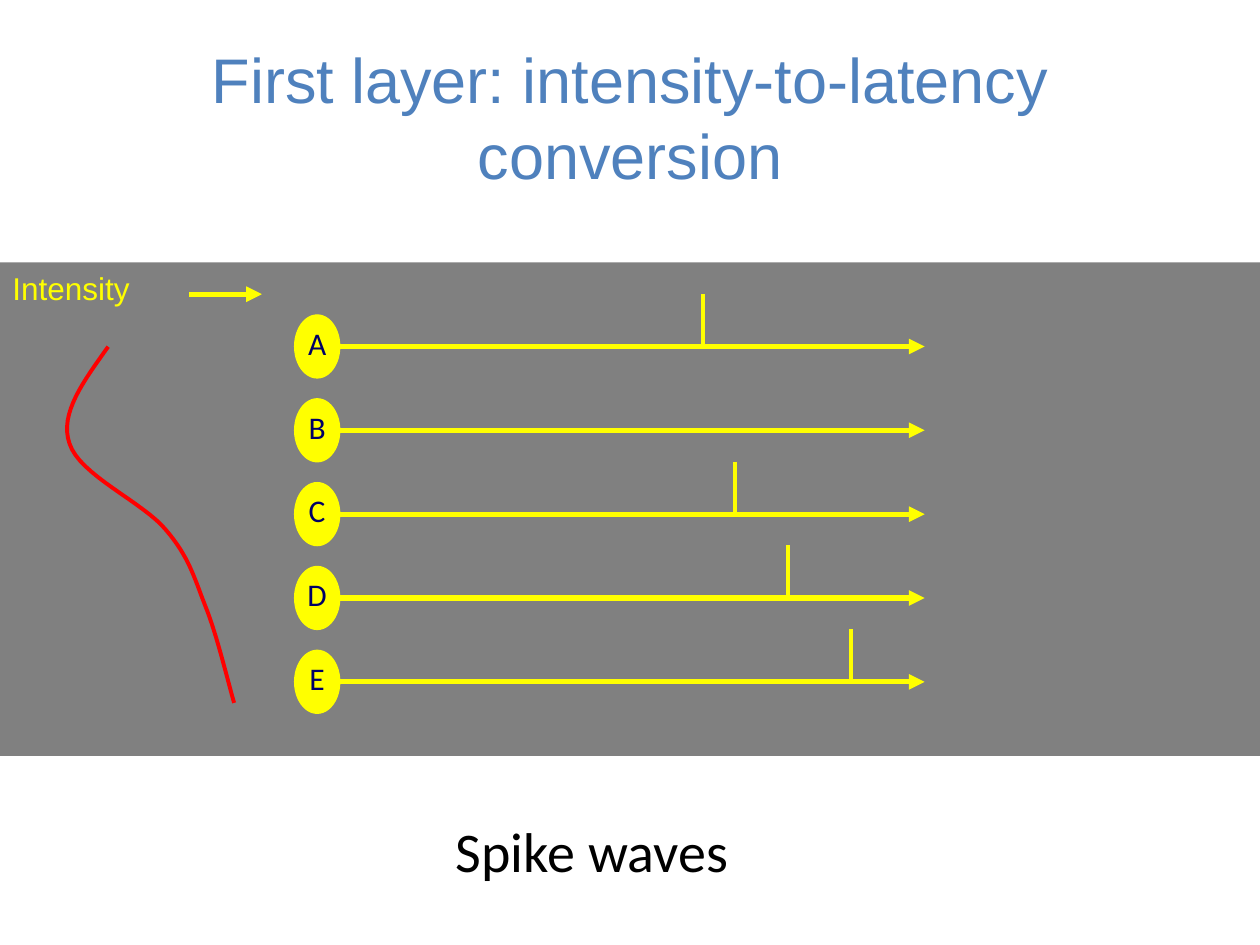
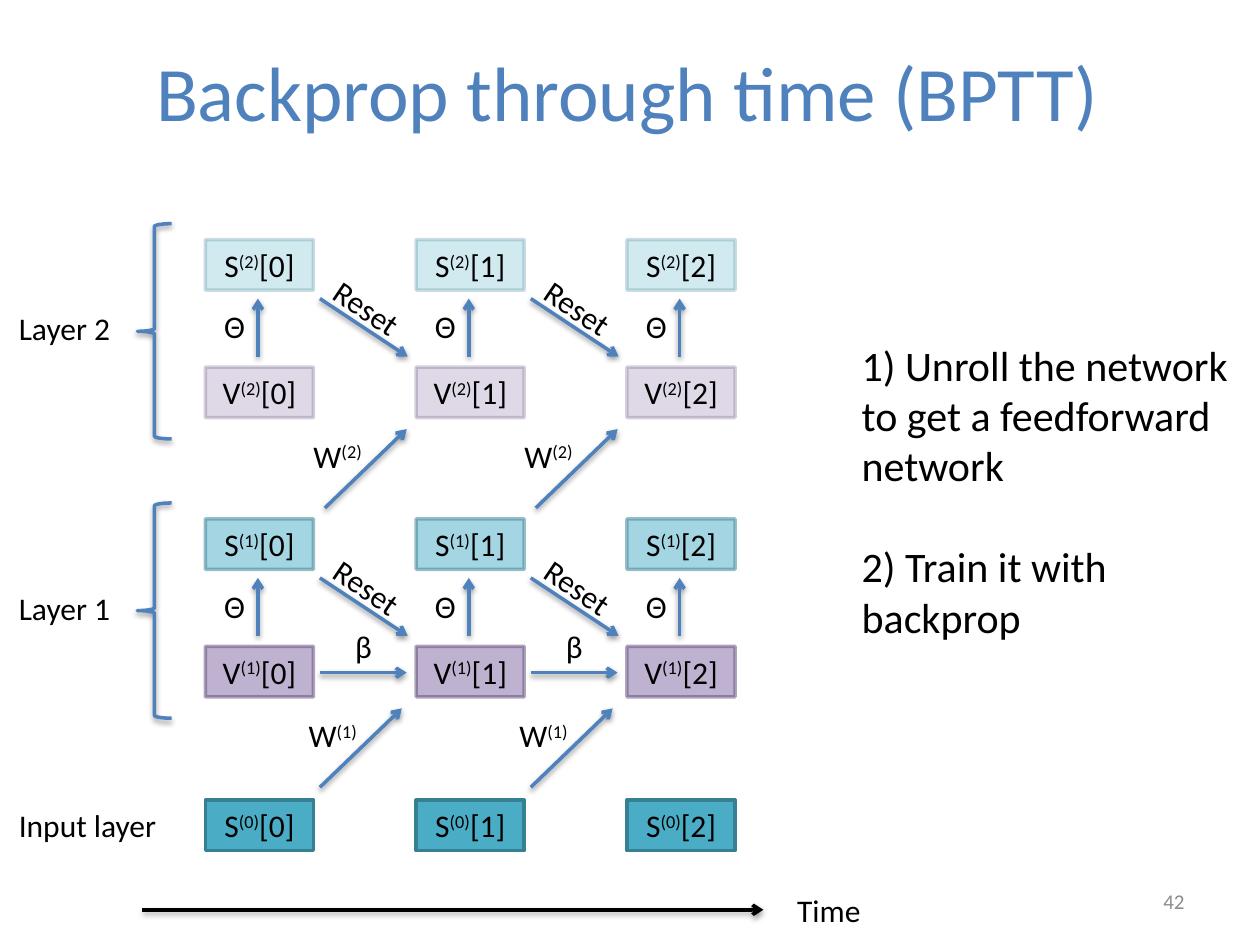
from pptx import Presentation
from pptx.dml.color import RGBColor
from pptx.enum.shapes import MSO_CONNECTOR, MSO_SHAPE
from pptx.enum.text import MSO_ANCHOR, MSO_AUTO_SIZE, PP_ALIGN
from pptx.oxml import parse_xml
from pptx.oxml.ns import nsdecls, qn
from pptx.util import Cm, Pt

STRAIGHT = MSO_CONNECTOR.STRAIGHT
RECT, OVAL, BRACE = MSO_SHAPE.RECTANGLE, MSO_SHAPE.OVAL, MSO_SHAPE.LEFT_BRACE
LEFT, CENTER, RIGHT = PP_ALIGN.LEFT, PP_ALIGN.CENTER, PP_ALIGN.RIGHT
MIDDLE = MSO_ANCHOR.MIDDLE
GROW = MSO_AUTO_SIZE.SHAPE_TO_FIT_TEXT

COLORS = {
    "blue": "4F81BD", "black": "000000", "band": "808080",
    "signal": "FFFF00", "letter": "000066", "curve": "FF0000",
    "teal": "4BACC6", "teal_edge": "377F92",
    "purple": "8064A2", "purple_edge": "5F4A78", "number": "8C8C8C",
}
TITLE_ONLY = 5
LABEL_HEIGHT = 1.02


# Shared helpers
def color(name):
    return RGBColor.from_string(COLORS[name])


def style_font(font, size, name="black", face="Calibri"):
    font.size, font.name = Pt(size), face
    font.color.rgb = color(name)


def write_parts(para, parts, size=18, name="black", face="Calibri"):
    """Write up to three runs; the second one is raised."""
    for index, part in enumerate(parts):
        span = para.add_run()
        span.text = part
        style_font(span.font, size, name, face)
        if index == 1:
            span._r.get_or_add_rPr().set("baseline", "30000")


def add_label(page, parts, box, size=18, name="black", face="Calibri",
              wrap=False, align=LEFT):
    label = page.shapes.add_textbox(*map(Cm, box))
    frame = label.text_frame
    frame.word_wrap = wrap
    frame.auto_size = GROW
    frame.paragraphs[0].alignment = align
    write_parts(frame.paragraphs[0], parts, size, name, face)
    return label


def add_shape(page, kind, box, fill=None, edge=None, width=2.0):
    shape = page.shapes.add_shape(kind, *map(Cm, box))
    shape.shadow.inherit = False
    if fill:
        shape.fill.solid()
        shape.fill.fore_color.rgb = color(fill)
    else:
        shape.fill.background()
    if edge:
        shape.line.color.rgb = color(edge)
        shape.line.width = Pt(width)
    else:
        shape.line.fill.background()
    return shape


def set_opacity(shape, percent):
    for tint in shape._element.spPr.iter(qn("a:srgbClr")):
        tint.append(parse_xml(f'<a:alpha {nsdecls("a")} val="{percent * 1000}"/>'))


def set_soft_shadow(shape):
    properties = shape._element.spPr
    for effects in properties.findall(qn("a:effectLst")):
        properties.remove(effects)
    properties.append(parse_xml(
        f'<a:effectLst {nsdecls("a")}><a:outerShdw blurRad="40000" dist="20000" '
        'dir="5400000" rotWithShape="0"><a:srgbClr val="000000">'
        '<a:alpha val="38000"/></a:srgbClr></a:outerShdw></a:effectLst>'))


def add_line(page, start, end, name, width, head=None, shadow=False):
    line = page.shapes.add_connector(STRAIGHT, *map(Cm, (*start, *end)))
    line.line.color.rgb = color(name)
    line.line.width = Pt(width)
    if head:
        line.line._get_or_add_ln().append(
            parse_xml(f'<a:tailEnd {nsdecls("a")} type="{head}"/>'))
    if shadow:
        set_soft_shadow(line)
    else:
        line._element.spPr.append(parse_xml(f'<a:effectLst {nsdecls("a")}/>'))


def add_page(deck, title, box, size, face):
    page = deck.slides.add_slide(deck.slide_layouts[TITLE_ONLY])
    holder = page.shapes.title
    holder.left, holder.top, holder.width, holder.height = map(Cm, box)
    frame = holder.text_frame
    frame.text = title
    frame.vertical_anchor = MIDDLE
    frame.paragraphs[0].alignment = CENTER
    style_font(frame.paragraphs[0].runs[0].font, size, "blue", face)
    return page


# Intensity-to-latency slide
def add_neurons(page, box):
    """Five neurons with time axes; all but B fire one spike."""
    left, top, width, height = box
    pitch, cell_width, cell_height, spike_height = 1.69, 0.91, 1.27, 1.06
    spikes = {"A": 8.24, "B": None, "C": 8.88, "D": 9.94, "E": 11.21}
    for row, (letter, spike) in enumerate(spikes.items()):
        cell_top = top + row * pitch
        axis = cell_top + cell_height / 2
        cell = add_shape(page, OVAL, (left, cell_top, cell_width, cell_height),
                         "signal", "signal", 0.75)
        frame = cell.text_frame
        frame.margin_left = frame.margin_right = 0
        frame.margin_top, frame.margin_bottom = 0, Cm(0.15)
        frame.word_wrap = False
        frame.vertical_anchor = MIDDLE
        frame.paragraphs[0].alignment = CENTER
        write_parts(frame.paragraphs[0], [letter], name="letter")
        add_line(page, (left + cell_width, axis), (left + width, axis),
                 "signal", 3, "triangle")
        if spike:
            add_line(page, (left + spike, axis - spike_height),
                     (left + spike, axis), "signal", 2.25)


def bezier_points(start, pieces, steps=16):
    points = [start]
    for first, second, end in pieces:
        for step in range(1, steps + 1):
            t = step / steps
            points.append(tuple(
                (1 - t) ** 3 * a + 3 * t * (1 - t) ** 2 * b
                + 3 * t ** 2 * (1 - t) * c + t ** 3 * d
                for a, b, c, d in zip(start, first, second, end)))
        start = end
    return points


def add_intensity(page, box):
    """Intensity label with its arrow, above the stimulus profile."""
    left, top, width, height = box
    add_label(page, ["Intensity"], (left, top, 3.68, 1.3),
              name="signal", face="Arial")
    add_line(page, (left + 3.81, top + 0.64), (left + width, top + 0.64),
             "signal", 3, "triangle")
    pieces = [
        ((1.70, 2.38), (1.19, 3.04), (1.40, 3.65)),
        ((1.60, 4.29), (2.90, 4.84), (3.35, 5.40)),
        ((3.81, 5.94), (3.91, 6.34), (4.14, 6.93)),
        ((4.37, 7.49), (4.62, 8.55), (4.72, 8.88)),
    ]
    points = [(Cm(left + x), Cm(top + y))
              for x, y in bezier_points((2.18, 1.70), pieces)]
    builder = page.shapes.build_freeform(*points[0])
    builder.add_line_segments(points[1:], close=False)
    profile = builder.convert_to_shape()
    profile.shadow.inherit = False
    profile.fill.background()
    profile.line.color.rgb = color("curve")
    profile.line.width = Pt(2.25)


def build_latency_slide(deck):
    page = add_page(deck, "First layer: intensity-to-latency conversion",
                    (1.27, 0.76, 22.86, 3.18), 36, "Arial")
    band_top = 5.29
    add_shape(page, RECT, (0, band_top, 25.4, 9.95), "band")
    add_neurons(page, (5.94, band_top + 1.06, 12.7, 8.03))
    add_intensity(page, (0, band_top, 5.28, 9.95))
    add_label(page, ["Spike waves"], (8.94, 16.33, 7.98, 1.63), 32, wrap=True)


# Unrolled network slide
COLUMNS, COLUMN_PITCH = 3, 4.25
NODE_WIDTH, NODE_HEIGHT = 2.18, 1.02


def add_node_row(page, letter, layer, left, top, opacity):
    tint = "purple" if letter == "V" else "teal"
    for column in range(COLUMNS):
        node = add_shape(
            page, RECT,
            (left + column * COLUMN_PITCH, top, NODE_WIDTH, NODE_HEIGHT),
            tint, tint + "_edge")
        if opacity < 100:
            set_opacity(node, opacity)
        frame = node.text_frame
        frame.word_wrap = True
        frame.vertical_anchor = MIDDLE
        frame.paragraphs[0].alignment = CENTER
        write_parts(frame.paragraphs[0], ["S" if tint == "teal" else "V",
                                          f"({layer})", f"[{column}]"])


def add_link(page, left, top, start, end, parts, label_box, turn=0):
    """Arrow and its label, both measured from the column's corner."""
    add_line(page, (left + start[0], top + start[1]),
             (left + end[0], top + end[1]), "blue", 2, "arrow", True)
    x, y, width = label_box
    label = add_label(page, parts, (left + x, top + y, width, LABEL_HEIGHT))
    label.rotation = turn


def add_layer(page, layer, box, opacity, weight_shift, has_decay):
    left, top, width, height = box
    add_node_row(page, "S", layer, left, top, opacity)
    add_node_row(page, "V", layer, left, top + height - NODE_HEIGHT, opacity)
    for column in range(COLUMNS):
        x = left + column * COLUMN_PITCH
        add_link(page, x, top, (1.06, 2.36), (1.06, 1.19), ["Θ"],
                 (0.13, 1.24, 0.94))
        if column == COLUMNS - 1:
            continue
        add_link(page, x, top, (2.31, 1.19), (4.08, 2.36), ["Reset"],
                 (2.29, 0.88, 1.98), 34.1)
        add_link(page, x + weight_shift, top, (2.31, 5.41), (3.96, 3.82),
                 ["W", f"({layer})"], (1.83, 3.85, 1.55))
        if has_decay:
            add_link(page, x, top, (2.31, 3.1), (4.06, 3.1), ["β"],
                     (2.77, 2.06, 0.86))
    # Bracket and layer name
    brace = add_shape(page, BRACE, (left - 1.37, top - 0.32, 0.69, 4.34),
                      edge="blue")
    set_soft_shadow(brace)
    add_label(page, [f"Layer {layer}"],
              (left - 4.01, top + 1.28, 2.39, LABEL_HEIGHT))


def add_network(page, box):
    left, top, width, height = box
    layer_height = 3.59
    add_layer(page, 2, (left, top, width, layer_height), 25, 0.1, False)
    add_layer(page, 1, (left, top + 5.63, width, layer_height), 50, 0, True)
    input_top = top + height - NODE_HEIGHT
    add_node_row(page, "S", 0, left, input_top, 100)
    add_label(page, ["Input layer"],
              (left - 4.01, input_top, 3.33, LABEL_HEIGHT))


def add_time_axis(page, box):
    left, top, width, height = box
    middle = top + height / 2
    add_line(page, (left, middle), (left + width, middle),
             "black", 2, "arrow", True)
    add_label(page, ["Time"], (left + width + 0.43, top, 1.8, height))


def add_steps(page, box):
    steps = page.shapes.add_textbox(*map(Cm, box))
    frame = steps.text_frame
    frame.word_wrap = True
    frame.text = ("1) Unroll the network to get a feedforward network\n"
                  "2) Train it with backprop")
    for para in frame.paragraphs:
        style_font(para.runs[0].font, 24)
    frame.paragraphs[1].space_before = Pt(29)


def build_bptt_slide(deck):
    page = add_page(deck, "Backprop through time (BPTT)",
                    (1.22, 0.23, 22.86, 3.18), 44, "Calibri")
    add_network(page, (4.14, 4.83, 10.68, 12.32))
    add_time_axis(page, (2.87, 17.83, 12.52, LABEL_HEIGHT))
    add_steps(page, (17.12, 6.71, 8.1, 6.4))
    number = add_label(page, ["42"], (18.21, 17.65, 5.92, LABEL_HEIGHT), 12,
                       "number", wrap=True, align=RIGHT)
    number.text_frame.auto_size = MSO_AUTO_SIZE.NONE
    number.text_frame.vertical_anchor = MIDDLE


def main():
    deck = Presentation()
    deck.slide_width, deck.slide_height = Cm(25.4), Cm(19.05)
    build_latency_slide(deck)
    build_bptt_slide(deck)
    deck.save("out.pptx")


if __name__ == "__main__":
    main()
